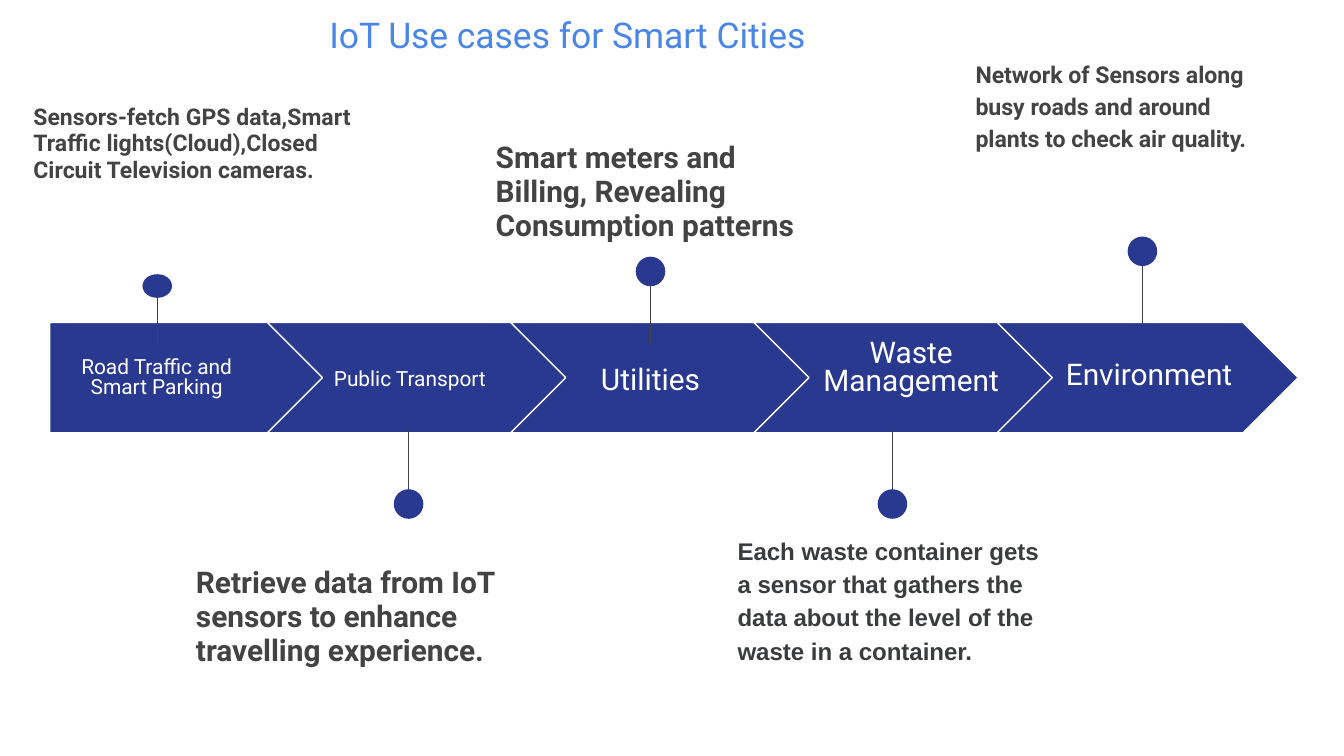
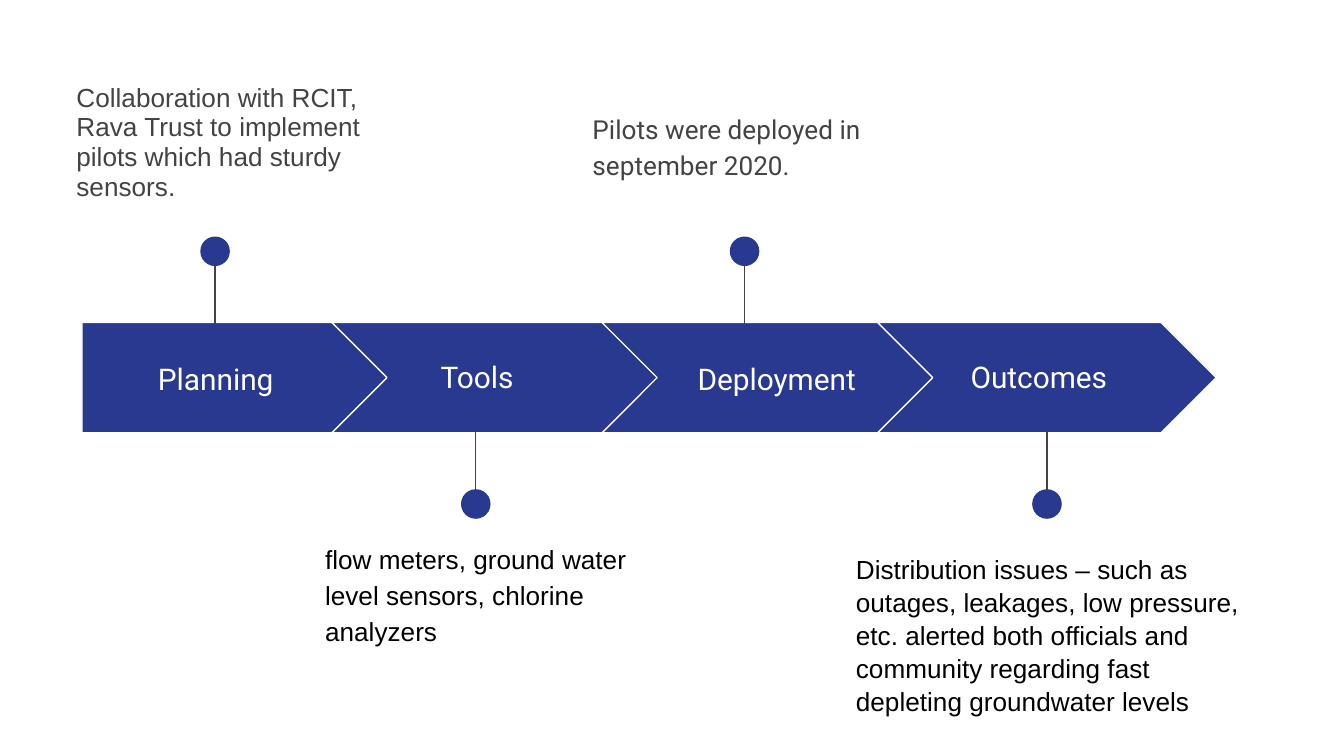
from dataclasses import dataclass
from typing import NamedTuple, Optional

import pptx
import pptx.dml.color
import pptx.enum.shapes
import pptx.enum.text
import pptx.oxml
import pptx.oxml.ns
import pptx.util

SHAPE = pptx.enum.shapes.MSO_SHAPE
ALIGN = pptx.enum.text.PP_ALIGN
ANCHOR = pptx.enum.text.MSO_ANCHOR

COLUMNS, ROWS = 100, 56.25
CELL = pptx.util.Inches(0.1)


@dataclass(frozen=True)
class Theme:
    band: str = "2A3990"
    white: str = "FFFFFF"
    text: str = "434343"
    soft: str = "3B3C3D"
    black: str = "000000"
    title: str = "4A86E8"
    font: str = "Roboto"
    plain_font: str = "Arial"
    title_size: float = 19
    large: float = 16
    medium: float = 14
    waste: float = 12.9
    air: float = 12.4
    road: float = 12.3
    small: float = 11.2
    line_width: float = 0.75


THEME = Theme()


class Box(NamedTuple):
    left: float
    top: float
    width: float
    height: float


class Label(NamedTuple):
    text: str
    box: Box
    size: float = THEME.large
    spacing: float = 1.0


class Pin(NamedTuple):
    x: float
    above: bool = True
    top: float = 17.6
    scale: float = 1.0


class Note(NamedTuple):
    text: str
    box: Box
    size: float = THEME.medium
    color: str = THEME.text
    font: str = THEME.font
    bold: bool = False
    spacing: float = 0.95
    after: float = 12


@dataclass(frozen=True)
class Step:
    left: float
    width: float
    label: Label
    pin: Pin
    note: Note


BAND_TOP, BAND_HEIGHT = 24, 8.2
DOT, STEM, STEM_INSET = 2.2, 6.1, 0.4
STEM_BELOW = 32.1
USE_PITCH, USE_WIDTH, USE_LEFT = 18.1, 22.4, 19.9
TITLE_BOX, TITLE_INDENT = Box(8.5, 0, 72.9, 5.2), 16


def use_left(index: int) -> float:
    return USE_LEFT + USE_PITCH * (index - 1)


USE_CASES = [
    Step(3.7, 20.5,
         Label("Road Traffic and Smart Parking", Box(3.7, 25.6, 15.9, 5.1),
               THEME.small, 0.8),
         Pin(11.7, top=20.4, scale=0.8),
         Note("Sensors-fetch GPS data,Smart Traffic lights(Cloud),Closed "
              "Circuit Television cameras.", Box(1.5, 6.8, 26.1, 12.9),
              THEME.road, bold=True, after=0)),
    Step(use_left(1), USE_WIDTH,
         Label("Public Transport", Box(23.3, 25.6, 14.4, 5.1), THEME.small),
         Pin(30.4, above=False),
         Note("Retrieve data from IoT sensors to enhance travelling "
              "experience.", Box(13.6, 41.1, 24.5, 9.9),
              THEME.large, bold=True)),
    Step(use_left(2), USE_WIDTH,
         Label("Utilities", Box(41.2, 25.6, 14.4, 5.1)),
         Pin(48.4, top=19.1),
         Note("Smart meters and Billing, Revealing Consumption patterns",
              Box(35.9, 9.5, 24.5, 9.9), THEME.large, bold=True)),
    Step(use_left(3), USE_WIDTH,
         Label("Waste Management", Box(59.2, 24.2, 17.2, 6.5), spacing=0.8),
         Pin(66.4, above=False),
         Note("Each waste container gets a sensor that gathers the data "
              "about the level of the waste in a container.",
              Box(53.9, 38.6, 25, 12.9), THEME.waste, THEME.soft,
              THEME.plain_font, True, 1.15)),
    Step(use_left(4), USE_WIDTH,
         Label("Environment", Box(77.8, 24.9, 15.4, 5.8)),
         Pin(85),
         Note("Network of Sensors along busy roads and around plants to "
              "check air quality.", Box(71.6, 3.2, 24.5, 12.9),
              THEME.air, bold=True, spacing=1.15, after=0)),
]

PILOT_STAGES = [
    Step(6.1, 23.2,
         Label("Planning", Box(8.1, 25.6, 15.9, 5.1)),
         Pin(16),
         Note("Collaboration with RCIT, Rava Trust to implement pilots "
              "which had sturdy sensors.", Box(4.7, 5.2, 24.5, 11.9),
              font=THEME.plain_font)),
    Step(24.7, 26,
         Label("Tools", Box(28.3, 25.5, 14.4, 5.1)),
         Pin(35.4, above=False),
         Note("flow meters, ground water level sensors, chlorine analyzers",
              Box(23.2, 39.1, 24.5, 9.9), color=THEME.black,
              font=THEME.plain_font, spacing=1.15)),
    Step(44.8, 26,
         Label("Deployment", Box(50.6, 25.6, 14.4, 5.1)),
         Pin(55.4),
         Note("Pilots were deployed in september 2020.",
              Box(43.1, 7.1, 24.5, 8.2), spacing=1.15)),
    Step(65.3, 25.2,
         Label("Outcomes", Box(70.1, 25.5, 14.4, 5.1)),
         Pin(77.9, above=False),
         Note("Distribution issues – such as outages, leakages, low "
              "pressure, etc. alerted both officials and community "
              "regarding fast depleting groundwater levels",
              Box(62.7, 40.1, 30.5, 13.4), color=THEME.black,
              font=THEME.plain_font, spacing=1.05)),
]


def cells(count: float) -> int:
    return round(count * CELL)


def place(box: Box) -> tuple[int, ...]:
    return tuple(cells(length) for length in box)


def rgb(color: str) -> pptx.dml.color.RGBColor:
    return pptx.dml.color.RGBColor.from_string(color)


def write(tf, text: str, *, size: float, color: str, font: str = THEME.font,
          bold: bool = False, align=ALIGN.LEFT, anchor=ANCHOR.TOP,
          spacing: float = 1.0, after: float = 0, indent: float = 1) -> None:
    tf.word_wrap = True
    tf.auto_size = pptx.enum.text.MSO_AUTO_SIZE.NONE
    tf.vertical_anchor = anchor
    tf.margin_left = cells(indent)
    tf.margin_top = tf.margin_right = tf.margin_bottom = cells(1)
    p = tf.paragraphs[0]
    p.alignment = align
    p.line_spacing = spacing
    p.space_before = pptx.util.Pt(0)
    p.space_after = pptx.util.Pt(after)
    r = p.add_run()
    r.text = text
    r.font.size = pptx.util.Pt(size)
    r.font.name = font
    r.font.bold = bold
    r.font.color.rgb = rgb(color)


def add_filled(shapes, kind, box: Box, outline: Optional[str] = None) -> None:
    s = shapes.add_shape(kind, *place(box))
    s.shadow.inherit = False
    s.fill.solid()
    s.fill.fore_color.rgb = rgb(THEME.band)
    if outline:
        s.line.color.rgb = rgb(outline)
        s.line.width = pptx.util.Pt(THEME.line_width)
    else:
        s.line.fill.background()


def add_pin(shapes, pin: Pin) -> None:
    height = DOT * pin.scale
    stem = STEM * pin.scale
    if pin.above:
        start = pin.top + STEM_INSET * pin.scale
        end, dot_top = start + stem, pin.top
    else:
        start, end = STEM_BELOW + stem, STEM_BELOW
        dot_top = start + STEM_INSET - height
    group = shapes.add_group_shape().shapes
    line = group.add_connector(
        pptx.enum.shapes.MSO_CONNECTOR.STRAIGHT,
        cells(pin.x), cells(start), cells(pin.x), cells(end))
    line.line.color.rgb = rgb(THEME.text)
    line.line.width = pptx.util.Pt(THEME.line_width)
    line._element.spPr.append(
        pptx.oxml.parse_xml(f'<a:effectLst {pptx.oxml.ns.nsdecls("a")}/>'))
    add_filled(group, SHAPE.OVAL, Box(pin.x - DOT / 2, dot_top, DOT, height))


def add_step(shapes, step: Step, first: bool) -> None:
    add_filled(shapes, SHAPE.PENTAGON if first else SHAPE.CHEVRON,
               Box(step.left, BAND_TOP, step.width, BAND_HEIGHT), THEME.white)
    label, note = step.label, step.note
    write(shapes.add_textbox(*place(label.box)).text_frame, label.text,
          size=label.size, color=THEME.white, align=ALIGN.CENTER,
          anchor=ANCHOR.MIDDLE, spacing=label.spacing)
    add_pin(shapes, step.pin)
    write(shapes.add_textbox(*place(note.box)).text_frame, note.text,
          size=note.size, color=note.color, font=note.font, bold=note.bold,
          spacing=note.spacing, after=note.after)


def add_process(prs, steps: list[Step], title: Optional[str] = None) -> None:
    slide = prs.slides.add_slide(prs.slide_layouts[5 if title else 6])
    if title:
        s = slide.shapes.title
        s.left, s.top, s.width, s.height = place(TITLE_BOX)
        write(s.text_frame, title, size=THEME.title_size, color=THEME.title,
              indent=TITLE_INDENT)
    for index, step in enumerate(steps):
        add_step(slide.shapes, step, index == 0)


def main() -> None:
    prs = pptx.Presentation()
    prs.slide_width, prs.slide_height = cells(COLUMNS), cells(ROWS)
    add_process(prs, USE_CASES, "IoT Use cases for Smart Cities")
    add_process(prs, PILOT_STAGES)
    prs.save("out.pptx")


if __name__ == "__main__":
    main()
